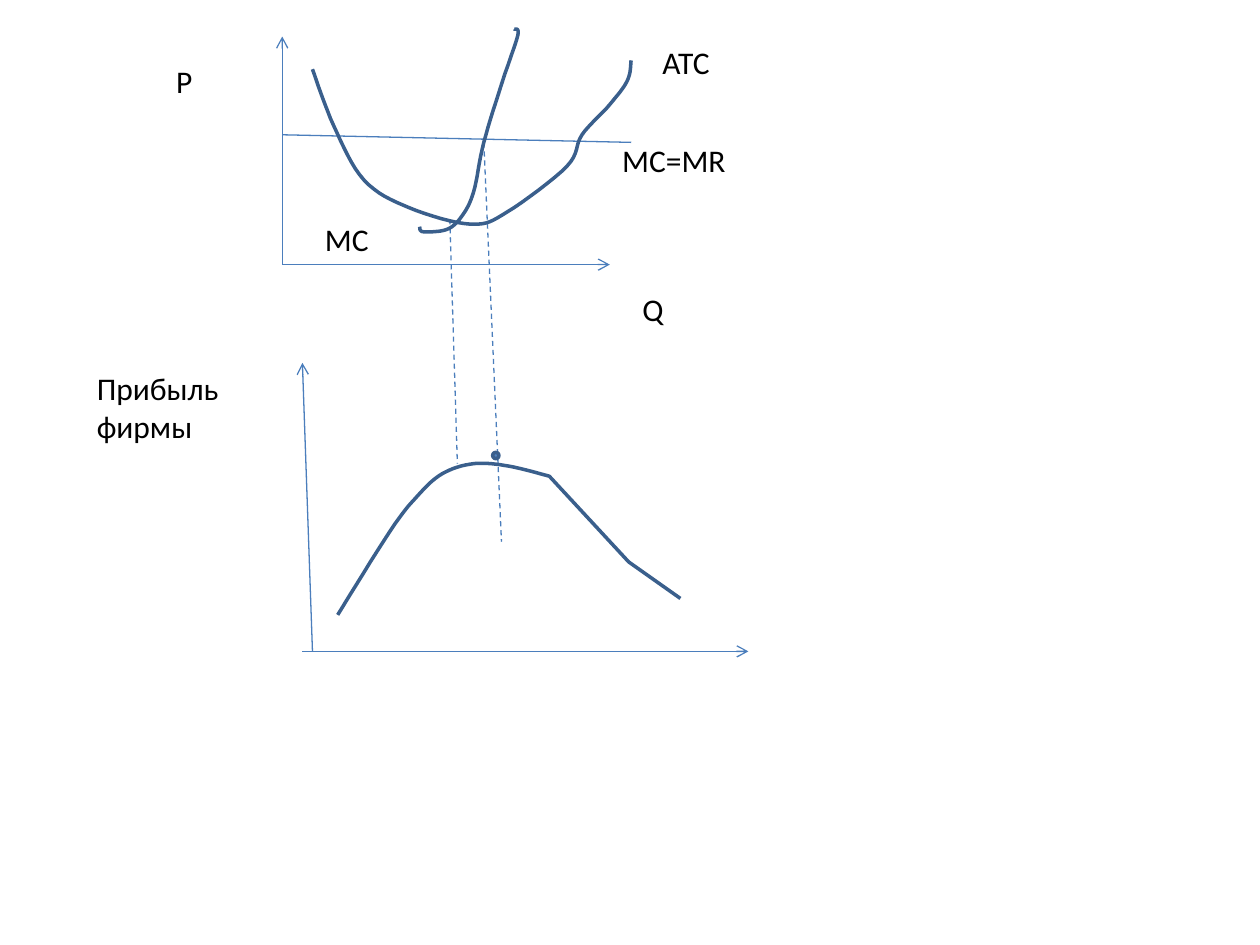
import dataclasses
import lxml.etree
import pptx
import pptx.dml.color
import pptx.enum.dml
import pptx.enum.shapes
import pptx.oxml.ns
import pptx.util

INCH = 2.54
GRAIN = 1000
STEPS = 8
HUES = {"axis": "4B7EBC", "curve": "3A5F8C", "dot": "4F81BD", "text": "000000"}

Point = tuple[float, float]


@dataclasses.dataclass
class Label:
    text: str
    left: float
    top: float
    width: float
    lines: int = 1


@dataclasses.dataclass
class Ray:
    start: Point
    end: Point
    arrow: bool = False
    dashed: bool = False


@dataclasses.dataclass
class Curve:
    knots: list[Point]
    tail: list[Point] = dataclasses.field(default_factory=list)


@dataclasses.dataclass
class Axes:
    foot: Point
    top: Point
    left: Point
    right: Point

    def rays(self) -> list[Ray]:
        return [Ray(self.foot, self.top, arrow=True),
                Ray(self.left, self.right, arrow=True)]


COST_AXES = Axes((2.24, 2.1), (2.24, 0.29), (2.24, 2.1), (4.84, 2.1))
GAIN_AXES = Axes((2.48, 5.17), (2.4, 2.88), (2.4, 5.17), (5.94, 5.17))

BEST = (3.84, 1.13)
CROSS = (3.57, 1.74)
PRICE = Ray((2.24, 1.07), (5.01, 1.13))
DROPS = [Ray(BEST, (3.98, 4.3), dashed=True),
         Ray(CROSS, (3.63, 3.68), dashed=True)]

ATC = Curve([(2.48, 0.55), (2.65, 1), (2.89, 1.43), (3.25, 1.65),
             (3.74, 1.78), (4.03, 1.68), (4.5, 1.32), (4.62, 1.07),
             (4.84, 0.83), (4.98, 0.64), (5.01, 0.48)])
MC = Curve([(4.08, 0.23), (4.11, 0.28), (3.99, 0.64), BEST, (3.76, 1.52),
            (3.67, 1.71), (3.55, 1.82), (3.36, 1.84), (3.33, 1.8)])
GAIN = Curve([(2.68, 4.88), (3.1, 4.21), (3.31, 3.94), (3.51, 3.76),
              (3.76, 3.68), (4.04, 3.7), (4.36, 3.78)],
             tail=[(4.99, 4.46), (5.4, 4.75)])

LABELS = [
    Label("P", 1.3, 0.44, 0.71),
    Label("Q", 5, 2.25, 0.94),
    Label("MC=MR", 4.84, 1.07, 1.5),
    Label("MC", 2.48, 1.7, 0.71),
    Label("ATC", 5.16, 0.29, 0.87),
    Label("Прибыль фирмы", 0.67, 2.88, 1.34, lines=2),
]


def span(size: float) -> pptx.util.Cm:
    return pptx.util.Cm(size * INCH)


def paint(name: str) -> pptx.dml.color.RGBColor:
    return pptx.dml.color.RGBColor.from_string(HUES[name])


def ink(line, name: str, width: float) -> None:
    line.color.rgb = paint(name)
    line.width = pptx.util.Pt(width)


def blend(a: float, b: float, c: float, d: float, t: float) -> float:
    slope = c - a
    square = 2 * a - 5 * b + 4 * c - d
    cube = 3 * (b - c) + d - a
    return b + (slope * t + square * t ** 2 + cube * t ** 3) / 2


def smooth(knots: list[Point]) -> list[Point]:
    ends = [knots[0], *knots, knots[-1]]
    points = [knots[0]]
    for group in zip(ends, ends[1:], ends[2:], ends[3:]):
        for step in range(1, STEPS + 1):
            points.append(tuple(blend(*row, step / STEPS) for row in zip(*group)))
    return points


def draw_ray(slide, ray: Ray) -> None:
    ends = [span(n) for n in (*ray.start, *ray.end)]
    link = slide.shapes.add_connector(
        pptx.enum.shapes.MSO_CONNECTOR.STRAIGHT, *ends)
    ink(link.line, "axis", 0.75)
    if ray.dashed:
        link.line.dash_style = pptx.enum.dml.MSO_LINE.DASH
    frame = link._element.spPr
    if ray.arrow:
        edge = frame.find(pptx.oxml.ns.qn("a:ln"))
        lxml.etree.SubElement(edge, pptx.oxml.ns.qn("a:tailEnd"), type="arrow")
    lxml.etree.SubElement(frame, pptx.oxml.ns.qn("a:effectLst"))


def draw_label(slide, label: Label) -> None:
    height = 0.1 + 0.3 * label.lines
    box = slide.shapes.add_textbox(
        span(label.left), span(label.top), span(label.width), span(height))
    box.text_frame.word_wrap = True
    run = box.text_frame.paragraphs[0].add_run()
    run.text = label.text
    run.font.name = "Calibri"
    run.font.size = pptx.util.Pt(18)
    run.font.color.rgb = paint("text")


def draw_curve(slide, curve: Curve) -> None:
    points = smooth(curve.knots) + curve.tail
    dots = [(round(x * GRAIN), round(y * GRAIN)) for x, y in points]
    pen = slide.shapes.build_freeform(*dots[0], scale=span(1) / GRAIN)
    pen.add_line_segments(dots[1:], close=False)
    shape = pen.convert_to_shape()
    shape.fill.background()
    ink(shape.line, "curve", 2)
    shape.shadow.inherit = False


def draw_dot(slide, left: float, top: float, size: float) -> None:
    dot = slide.shapes.add_shape(
        pptx.enum.shapes.MSO_SHAPE.FLOWCHART_CONNECTOR,
        span(left), span(top), span(size), span(size))
    dot.fill.solid()
    dot.fill.fore_color.rgb = paint("dot")
    ink(dot.line, "curve", 2)
    dot.shadow.inherit = False


def main() -> None:
    deck = pptx.Presentation()
    deck.slide_width, deck.slide_height = span(10), span(7.5)
    slide = deck.slides.add_slide(deck.slide_layouts[6])
    for ray in [*COST_AXES.rays(), PRICE, *GAIN_AXES.rays(), *DROPS]:
        draw_ray(slide, ray)
    for label in LABELS:
        draw_label(slide, label)
    for curve in (ATC, MC, GAIN):
        draw_curve(slide, curve)
    draw_dot(slide, 3.91, 3.59, 0.05)
    deck.save("out.pptx")


if __name__ == "__main__":
    main()
